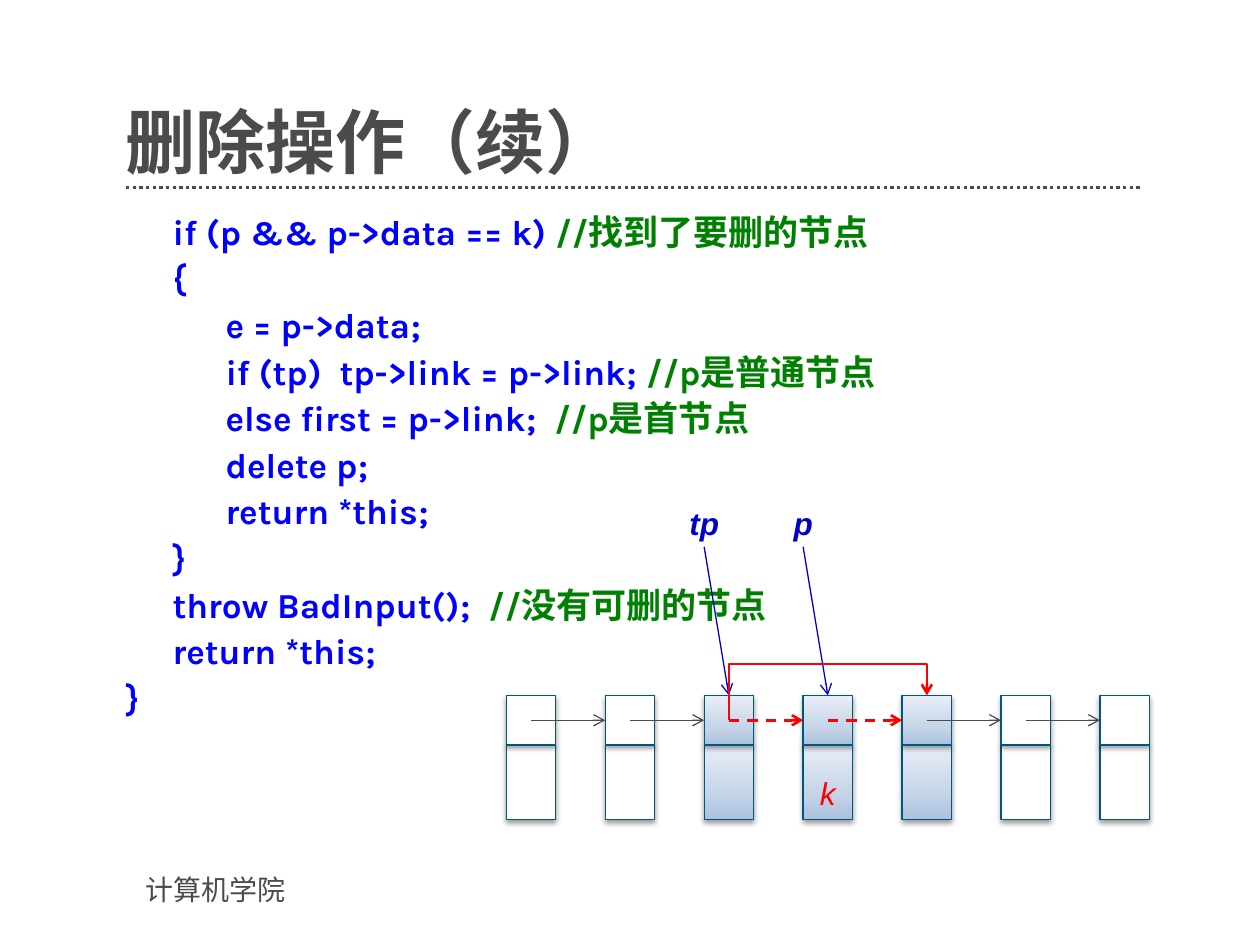
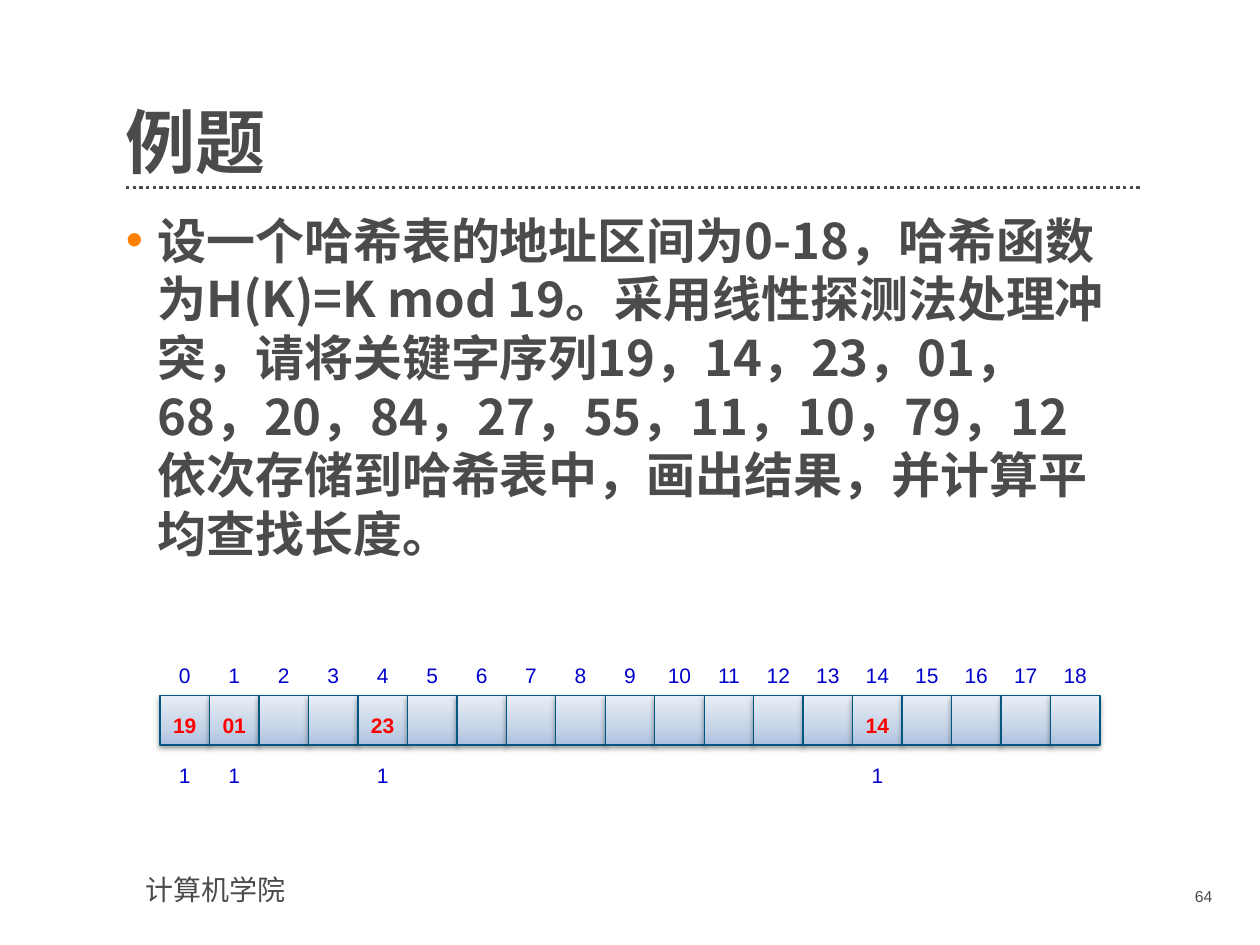
from lxml import etree
from pptx import Presentation
from pptx.dml.color import RGBColor
from pptx.enum.dml import MSO_LINE
from pptx.enum.shapes import MSO_CONNECTOR as CONNECTOR, MSO_SHAPE as SHAPE
from pptx.enum.text import MSO_ANCHOR as ANCHOR, PP_ALIGN as ALIGN
from pptx.oxml import parse_xml
from pptx.oxml.ns import nsdecls, qn
from pptx.util import Inches, Pt

GRAY = RGBColor(0x4B, 0x4B, 0x4B)
WHITE = RGBColor(0xFF, 0xFF, 0xFF)
RED = RGBColor(0xFF, 0x00, 0x00)
LABEL_BLUE = RGBColor(0x00, 0x00, 0xCC)
CODE_BLUE = RGBColor(0x00, 0x00, 0xFF)
COMMENT_GREEN = RGBColor(0x00, 0x80, 0x00)
BORDER = RGBColor(0x00, 0x58, 0x81)
BULLET_ORANGE = RGBColor(0xFF, 0x80, 0x00)
CELL_STOPS = ((0, "ACC1DF"), (35, "C5D4E7"), (100, "E9EEF7"))

SANS, CODE, CHINESE = "Arial", "Karla", "Noto Sans CJK SC"
BODY = (1, 1.67, 8.06, 5)
BODY_INSETS = (0, 0, 0.2, 0)

# Both diagrams sit on one grid of 19 columns.
GRID_LEFT, GRID_RIGHT, COLUMNS = 1.27, 8.73, 19
CELL = (GRID_RIGHT - GRID_LEFT) / COLUMNS
CELL_TOP = 5.52
LINK_Y = CELL_TOP + CELL / 2

CODE_LINES = [  # (indent level, code, comment)
    (1, "if (p && p->data == k) ", "//找到了要删的节点"),
    (1, "{", ""),
    (2, "e = p->data;", ""),
    (2, "if (tp)  tp->link = p->link;", " //p是普通节点"),
    (2, "else first = p->link;  ", "//p是首节点"),
    (2, "delete p;", ""),
    (2, "return *this;", ""),
    (1, "}", ""),
    (1, "throw BadInput();  ", "//没有可删的节点"),
    (1, "return *this;", ""),
    (0, "}", ""),
]
CODE_INDENTS = (0, 0.37, 0.79)

EXERCISE = (
    "设一个哈希表的地址区间为0-18，哈希函数为H(K)=K mod 19。"
    "采用线性探测法处理冲突，请将关键字序列19，14，23，01，68，20，84，27，55，11，10，79，12"
    "依次存储到哈希表中，画出结果，并计算平均查找长度。"
)
STORED_KEYS = {0: "19", 1: "01", 4: "23", 14: "14"}


def column_x(column):
    return GRID_LEFT + column * CELL


def add_frame(slide, box, insets=(0.1, 0.05, 0.1, 0.05), anchor=ANCHOR.TOP):
    """Add an empty wrapping text box and return its text frame."""
    frame = slide.shapes.add_textbox(*map(Inches, box)).text_frame
    frame.word_wrap = True
    frame.vertical_anchor = anchor
    (frame.margin_left, frame.margin_top,
     frame.margin_right, frame.margin_bottom) = map(Inches, insets)
    return frame


def add_run(paragraph, text, size, color, font=SANS, bold=False, italic=False):
    run = paragraph.add_run()
    run.text = text
    run.font.size = Pt(size)
    run.font.name = font
    run.font.bold = bold
    run.font.italic = italic
    run.font.color.rgb = color
    east_asian = etree.SubElement(run._r.get_or_add_rPr(), qn("a:ea"))
    east_asian.set("typeface", font)


def add_label(slide, box, text, size, color, align=ALIGN.CENTER, **style):
    insets = (0, 0.05, 0, 0.05) if align == ALIGN.CENTER else (0.1, 0.05, 0.1, 0.05)
    paragraph = add_frame(slide, box, insets).paragraphs[0]
    paragraph.alignment = align
    add_run(paragraph, text, size, color, **style)


def add_cell(slide, column, top, height, shaded):
    """Add a one-column box with a soft shadow below it."""
    cell = slide.shapes.add_shape(
        SHAPE.RECTANGLE, Inches(column_x(column)), Inches(top), Inches(CELL), Inches(height))
    cell.line.color.rgb = BORDER
    cell.line.width = Pt(0.75)
    properties = cell.element.spPr
    if shaded:
        stops = "".join(
            f'<a:gs pos="{position * 1000}"><a:srgbClr val="{color}"/></a:gs>'
            for position, color in CELL_STOPS)
        properties.find(qn("a:prstGeom")).addnext(parse_xml(
            f'<a:gradFill {nsdecls("a")} rotWithShape="1"><a:gsLst>{stops}</a:gsLst>'
            '<a:lin ang="16200000" scaled="0"/></a:gradFill>'))
    else:
        cell.fill.solid()
        cell.fill.fore_color.rgb = WHITE
    properties.append(parse_xml(
        f'<a:effectLst {nsdecls("a")}><a:outerShdw blurRad="{Pt(3.1)}" dist="{Pt(1.6)}" '
        'dir="5400000" rotWithShape="0"><a:srgbClr val="000000"><a:alpha val="38000"/>'
        '</a:srgbClr></a:outerShdw></a:effectLst>'))
    return cell


def add_line(slide, start, end, color, width=0.75, dash=None, arrow=True,
             kind=CONNECTOR.STRAIGHT):
    line = slide.shapes.add_connector(kind, *map(Inches, (*start, *end)))
    line.line.color.rgb = color
    line.line.width = Pt(width)
    if dash:
        line.line.dash_style = dash
    properties = line.element.spPr
    if arrow:
        etree.SubElement(properties.find(qn("a:ln")), qn("a:tailEnd")).set("type", "arrow")
    etree.SubElement(properties, qn("a:effectLst"))
    return line


def add_bypass(slide, start, end):
    """Add the red link that rises from start, runs across and drops onto end."""
    bypass = add_line(slide, start, end, RED, 1.5, kind=CONNECTOR.ELBOW)
    geometry = bypass.element.spPr.find(qn("a:prstGeom"))
    geometry.set("prst", "bentConnector4")
    adjustments = geometry.get_or_add_avLst()
    for name, value in (("adj1", 0), ("adj2", 227400)):
        guide = etree.SubElement(adjustments, qn("a:gd"))
        guide.set("name", name)
        guide.set("fmla", f"val {value}")


def add_titled_slide(presentation, title):
    slide = presentation.slides.add_slide(presentation.slide_layouts[6])
    add_line(slide, (1, 1.49), (9.06, 1.49), GRAY, 1.9, MSO_LINE.ROUND_DOT, arrow=False)
    add_label(slide, (1.06, 6.88, 2.56, 0.37), "计算机学院", 16, GRAY, ALIGN.LEFT)
    paragraph = add_frame(slide, (1, 0.55, 8.06, 0.91), (0, 0, 0, 0), ANCHOR.BOTTOM).paragraphs[0]
    paragraph.line_spacing = 0.9
    add_run(paragraph, title, 40, GRAY, CHINESE, bold=True)
    return slide


def add_code(slide):
    frame = add_frame(slide, BODY, BODY_INSETS)
    for number, (level, code, comment) in enumerate(CODE_LINES):
        paragraph = frame.add_paragraph() if number else frame.paragraphs[0]
        paragraph.space_before = Pt(2.6)
        paragraph._p.get_or_add_pPr().set("marL", str(Inches(CODE_INDENTS[level])))
        add_run(paragraph, code, 20, CODE_BLUE, CODE, bold=True)
        if comment:
            add_run(paragraph, comment, 20, COMMENT_GREEN, CODE, bold=True)


def add_linked_list(slide):
    """Draw seven nodes, the pointers tp and p, and the link around the deleted node."""
    columns = range(7, COLUMNS + 1, 2)
    centers = [column_x(column + 0.5) for column in columns]
    heads = []
    for node, column in enumerate(columns):
        shaded = node in (2, 3, 4)
        add_cell(slide, column, CELL_TOP + CELL, 0.59, shaded)
        heads.append(add_cell(slide, column, CELL_TOP, CELL, shaded))
    add_label(slide, (column_x(13), 6.09, CELL, 0.4), "k", 18, RED, italic=True)

    for node, head in enumerate(heads[1:]):
        style = (RED, 1.5, MSO_LINE.DASH) if node in (2, 3) else (GRAY,)
        link = add_line(slide, (centers[node], LINK_Y),
                        (column_x(columns[node + 1]), LINK_Y), *style)
        link.end_connect(head, 1)

    for name, node in (("tp", 2), ("p", 3)):
        x = column_x(columns[node])
        pointer = add_line(slide, (x, 4.34), (centers[node], CELL_TOP), LABEL_BLUE)
        pointer.end_connect(heads[node], 0)
        add_label(slide, (x - CELL, 3.95, 2 * CELL, 0.4), name, 18, LABEL_BLUE,
                  bold=True, italic=True)
    add_bypass(slide, (centers[2], LINK_Y), (centers[4], CELL_TOP))


def add_exercise(slide):
    paragraph = add_frame(slide, BODY, BODY_INSETS).paragraphs[0]
    paragraph.line_spacing = Pt(33.5)
    properties = paragraph._p.get_or_add_pPr()
    properties.set("marL", str(Inches(0.25)))
    properties.set("indent", str(Inches(-0.25)))
    color = etree.SubElement(properties, qn("a:buClr"))
    etree.SubElement(color, qn("a:srgbClr")).set("val", str(BULLET_ORANGE))
    etree.SubElement(properties, qn("a:buFont")).set("typeface", SANS)
    etree.SubElement(properties, qn("a:buChar")).set("char", "•")
    add_run(paragraph, EXERCISE, 28, GRAY, CHINESE, bold=True)


def add_hash_table(slide):
    """Draw the addresses, the stored keys and the probe count of each key."""
    for column in range(COLUMNS):
        add_cell(slide, column, CELL_TOP, CELL, shaded=True)

    def add_entry(column, top, text, color=LABEL_BLUE, bold=False):
        add_label(slide, (column_x(column), top, CELL, 0.3), text, 12, color, bold=bold)

    for column in range(COLUMNS):
        add_entry(column, 5.21, str(column))
    for column, key in STORED_KEYS.items():
        add_entry(column, 5.61, key, RED, bold=True)
        add_entry(column, 6, "1")


def main():
    presentation = Presentation()
    presentation.slide_width, presentation.slide_height = Inches(10), Inches(7.5)

    deletion = add_titled_slide(presentation, "删除操作（续）")
    add_code(deletion)
    add_linked_list(deletion)

    exercise = add_titled_slide(presentation, "例题")
    add_exercise(exercise)
    add_label(exercise, (8.73, 6.99, 0.99, 0.29), "64", 9, GRAY, ALIGN.RIGHT)
    add_hash_table(exercise)

    presentation.save("out.pptx")


if __name__ == "__main__":
    main()
